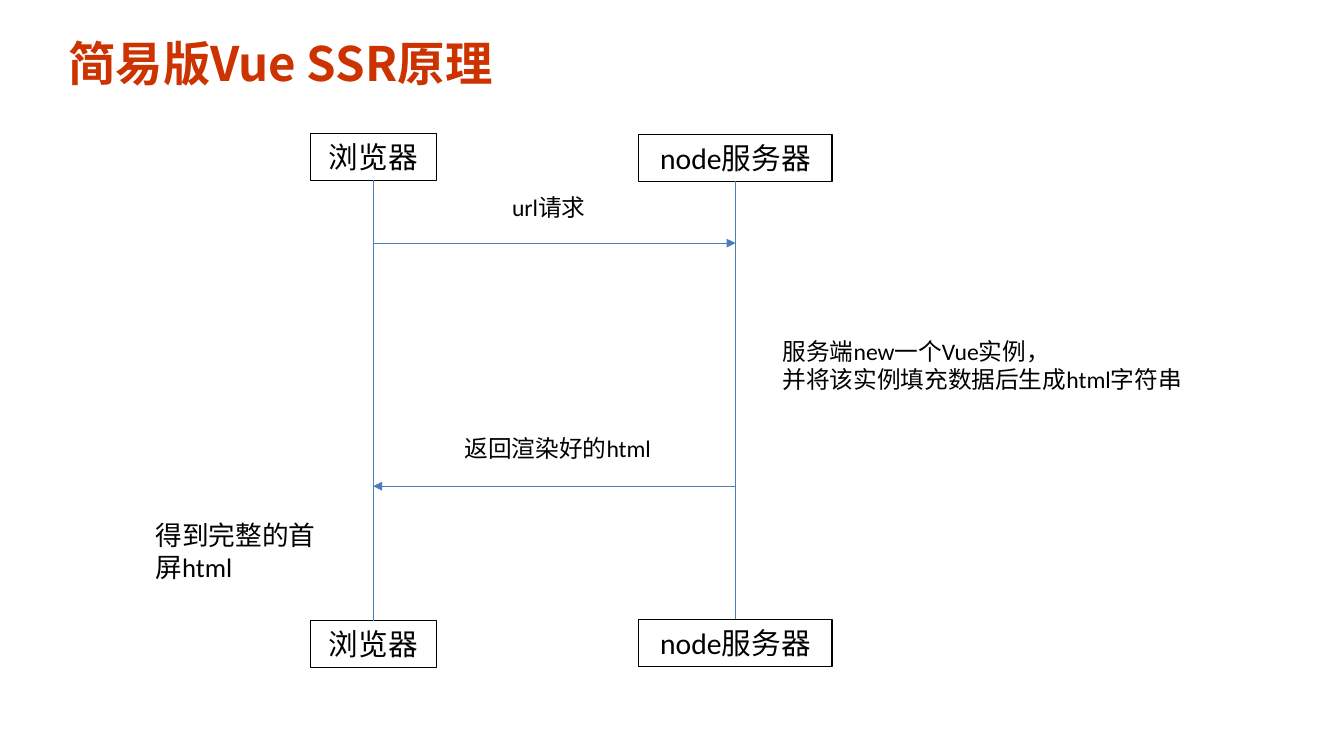
import pptx
import pptx.util
import pptx.dml.color
import pptx.enum.shapes
import pptx.enum.text
import pptx.oxml.ns
import lxml.etree

INK = "000000"
BLUE = "4B7EBC"
RED = "CC3300"
HAN = "Noto Sans CJK SC"
LATIN = "Calibri"
LEFT = pptx.enum.text.PP_ALIGN.LEFT
MID = pptx.enum.text.PP_ALIGN.CENTER
TOP = pptx.enum.text.MSO_ANCHOR.TOP
CENTER = pptx.enum.text.MSO_ANCHOR.MIDDLE
RECT = pptx.enum.shapes.MSO_SHAPE.RECTANGLE
LINE = pptx.enum.shapes.MSO_CONNECTOR.STRAIGHT


def inches(*nums):
    return [pptx.util.Inches(num) for num in nums]


def color(code):
    return pptx.dml.color.RGBColor.from_string(code)


def add_tag(parent, name, **attrs):
    return lxml.etree.SubElement(parent, pptx.oxml.ns.qn(name), **attrs)


def write(shape, lines, size, align=LEFT, anchor=TOP, ink=INK, face=LATIN, bold=False):
    frame = shape.text_frame
    frame.word_wrap = True
    frame.auto_size = pptx.enum.text.MSO_AUTO_SIZE.NONE
    frame.vertical_anchor = anchor
    for num, line in enumerate(lines):
        para = frame.add_paragraph() if num else frame.paragraphs[0]
        para.alignment = align
        run = para.add_run()
        run.text = line
        font = run.font
        font.size = pptx.util.Pt(size)
        font.bold = bold
        font.color.rgb = color(ink)
        font.name = face
        add_tag(run._r.get_or_add_rPr(), "a:ea", typeface=HAN)


def add_title(slide, text):
    title = slide.shapes.title
    title.left, title.top, title.width, title.height = inches(0.54, 0.27, 6.69, 0.71)
    write(title, [text], 32, ink=RED, face=HAN, bold=True)


def add_box(slide, place, text):
    box = slide.shapes.add_shape(RECT, *inches(*place))
    box.shadow.inherit = False
    box.fill.background()
    box.line.color.rgb = color(INK)
    box.line.width = pptx.util.Pt(0.75)
    write(box, [text], 20, MID, CENTER)
    return box


def add_note(slide, place, lines, size=16, align=LEFT):
    write(slide.shapes.add_textbox(*inches(*place)), lines, size, align)


def add_line(slide, start, end):
    line = slide.shapes.add_connector(LINE, *inches(*start, *end))
    line.line.color.rgb = color(BLUE)
    line.line.width = pptx.util.Pt(0.75)
    add_tag(line._element.spPr, "a:effectLst")
    return line


def add_arrow(slide, start, end):
    line = add_line(slide, start, end)
    add_tag(line.line._get_or_add_ln(), "a:tailEnd", type="triangle")


def add_actor(slide, text, left, width, top, low):
    first = add_box(slide, (left, top, width, 0.44), text)
    last = add_box(slide, (left, low, width, 0.44), text)
    axis = left + width / 2
    line = add_line(slide, (axis, top + 0.44), (axis, low))
    line.begin_connect(first, 2)
    line.end_connect(last, 0)
    return axis


def main():
    deck = pptx.Presentation()
    deck.slide_width, deck.slide_height = inches(12.6, 7.09)
    slide = deck.slides.add_slide(deck.slide_layouts[5])
    add_title(slide, "简易版Vue SSR原理")

    client = add_actor(slide, "浏览器", 2.91, 1.18, 1.25, 5.82)
    server = add_actor(slide, "node服务器", 5.99, 1.81, 1.26, 5.81)
    add_arrow(slide, (client, 2.28), (server, 2.28))
    add_arrow(slide, (server, 4.56), (client, 4.56))

    add_note(slide, (4.28, 1.76, 1.73, 0.37), ["url请求"], align=MID)
    add_note(slide, (4.01, 4.02, 2.44, 0.37), ["返回渲染好的html"], align=MID)
    add_note(slide, (7.24, 3.11, 4.16, 0.64),
             ["服务端new一个Vue实例，", "并将该实例填充数据后生成html字符串"])
    add_note(slide, (1.36, 4.82, 1.81, 0.71), ["得到完整的首屏html"], 18)
    deck.save("out.pptx")


if __name__ == "__main__":
    main()
